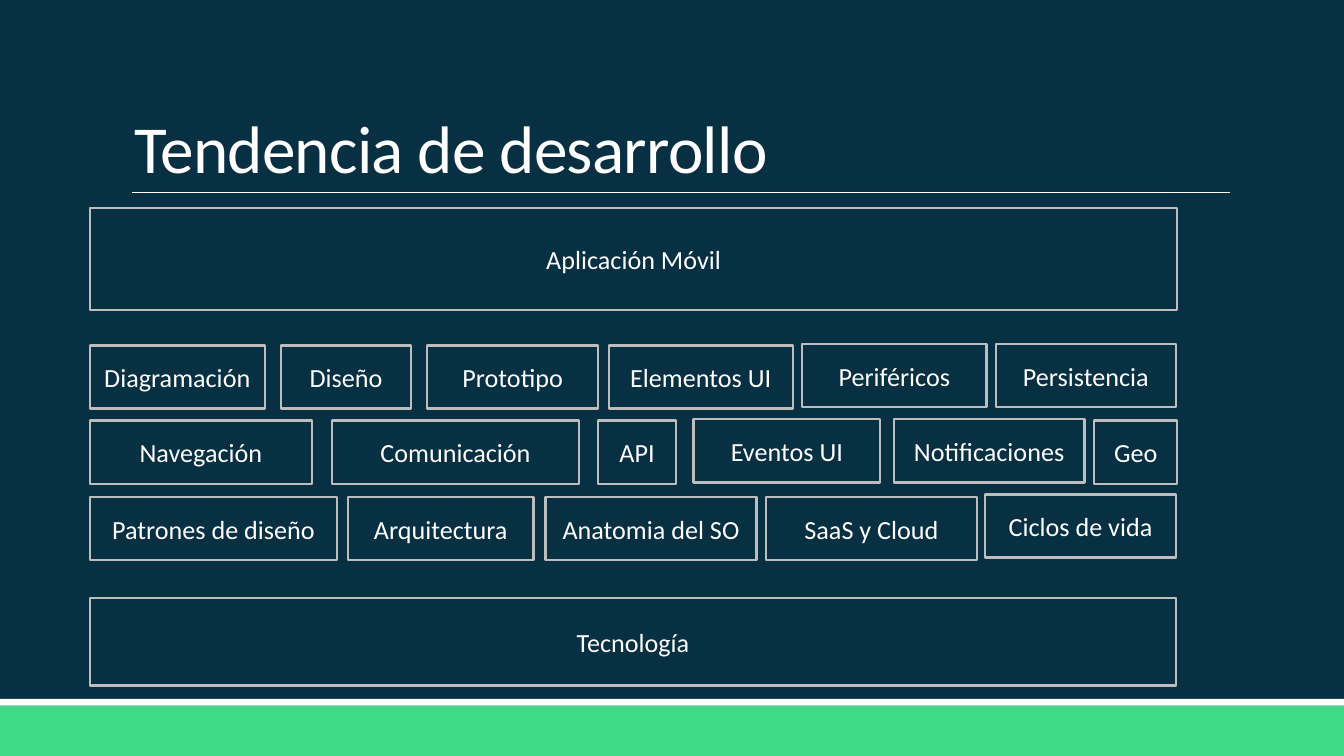
from lxml.etree import SubElement
from pptx import Presentation
from pptx.dml.color import RGBColor
from pptx.enum.shapes import MSO_CONNECTOR as Connector, MSO_SHAPE as Shape
from pptx.enum.text import MSO_ANCHOR as Anchor, MSO_AUTO_SIZE as AutoSize, PP_ALIGN as Align
from pptx.oxml.ns import qn
from pptx.util import Inches, Pt

COLORS = {"navy": "073042", "green": "3DDB85", "white": "FFFFFF", "gray": "BDBDBD"}
FONT = "Calibri"
SLIDE_WIDTH = 10
SLIDE_HEIGHT = SLIDE_WIDTH * 9 / 16
LEFT = 0.67
TOPIC_HEIGHT = 0.47

# Each topic: label, left, top, width
TOPICS = [
    ("Diagramación", LEFT, 2.57, 1.3),
    ("Diseño", 2.09, 2.57, 0.97),
    ("Prototipo", 3.18, 2.57, 1.27),
    ("Elementos UI", 4.53, 2.57, 1.37),
    ("Periféricos", 5.97, 2.56, 1.37),
    ("Persistencia", 7.41, 2.56, 1.34),
    ("Navegación", LEFT, 3.13, 1.65),
    ("Comunicación", 2.47, 3.13, 1.84),
    ("API", 4.45, 3.13, 0.58),
    ("Eventos UI", 5.16, 3.12, 1.39),
    ("Notificaciones", 6.65, 3.12, 1.42),
    ("Geo", 8.14, 3.13, 0.62),
    ("Patrones de diseño", LEFT, 3.7, 1.84),
    ("Arquitectura", 2.59, 3.7, 1.38),
    ("Anatomia del SO", 4.06, 3.7, 1.57),
    ("SaaS y Cloud", 5.7, 3.7, 1.57),
    ("Ciclos de vida", 7.33, 3.68, 1.42),
]


def color(name):
    return RGBColor.from_string(COLORS[name])


class SlideBuilder:
    def __init__(self, slide):
        self.slide = slide
        slide.background.fill.solid()
        slide.background.fill.fore_color.rgb = color("navy")

    def format_text(self, text_frame, size, align):
        paragraph = text_frame.paragraphs[0]
        paragraph.alignment = align
        font = paragraph.runs[0].font
        font.name, font.size = FONT, Pt(size)
        font.color.rgb = color("white")

    def title(self, text, left, top, width, height):
        title = self.slide.shapes.title
        title.left, title.top = Inches(left), Inches(top)
        title.width, title.height = Inches(width), Inches(height)
        frame = title.text_frame
        frame.text = text
        frame.auto_size = AutoSize.NONE
        frame.vertical_anchor = Anchor.BOTTOM
        frame.margin_left = frame.margin_right = Inches(0.1)
        frame.margin_bottom = Inches(0.05)
        self.format_text(frame, 36, Align.LEFT)
        paragraph = frame.paragraphs[0]
        paragraph.line_spacing = 0.75
        paragraph.runs[0].font._element.set("spc", "-40")

    def rectangle(self, left, top, width, height, fill):
        shape = self.slide.shapes.add_shape(
            Shape.RECTANGLE, Inches(left), Inches(top), Inches(width), Inches(height))
        shape.shadow.inherit = False
        shape.fill.solid()
        shape.fill.fore_color.rgb = color(fill)
        shape.line.fill.background()
        return shape

    def box(self, text, left, top, width, height):
        """Draw an outlined rectangle with a centred label."""
        shape = self.rectangle(left, top, width, height, "navy")
        shape.line.color.rgb = color("gray")
        shape.line.width = Pt(1.25)
        frame = shape.text_frame
        frame.text = text
        frame.word_wrap = True
        frame.vertical_anchor = Anchor.MIDDLE
        frame.margin_left = frame.margin_right = Inches(0.05)
        self.format_text(frame, 14, Align.CENTER)

    def rule(self, left, right, top):
        line = self.slide.shapes.add_connector(
            Connector.STRAIGHT, Inches(left), Inches(top), Inches(right), Inches(top))
        line.line.color.rgb = color("white")
        line.line.width = Pt(0.5)
        SubElement(line._element.spPr, qn("a:effectLst"))


def main():
    presentation = Presentation()
    presentation.slide_width = Inches(SLIDE_WIDTH)
    presentation.slide_height = Inches(SLIDE_HEIGHT)
    title_only = presentation.slide_layouts[5]
    builder = SlideBuilder(presentation.slides.add_slide(title_only))

    footer_top = 5.25
    builder.rectangle(0, footer_top, SLIDE_WIDTH, SLIDE_HEIGHT - footer_top, "green")
    builder.rectangle(0, 5.2, SLIDE_WIDTH, 0.05, "white")
    builder.rule(0.98, 9.15, 1.43)
    builder.title("Tendencia de desarrollo", 0.9, 0.24, 8.25, 1.19)

    builder.box("Aplicación Móvil", LEFT, 1.55, 8.09, 0.76)
    for label, left, top, width in TOPICS:
        builder.box(label, left, top, width, TOPIC_HEIGHT)
    builder.box("Tecnología", LEFT, 4.45, 8.08, 0.65)

    presentation.save("out.pptx")


if __name__ == "__main__":
    main()
